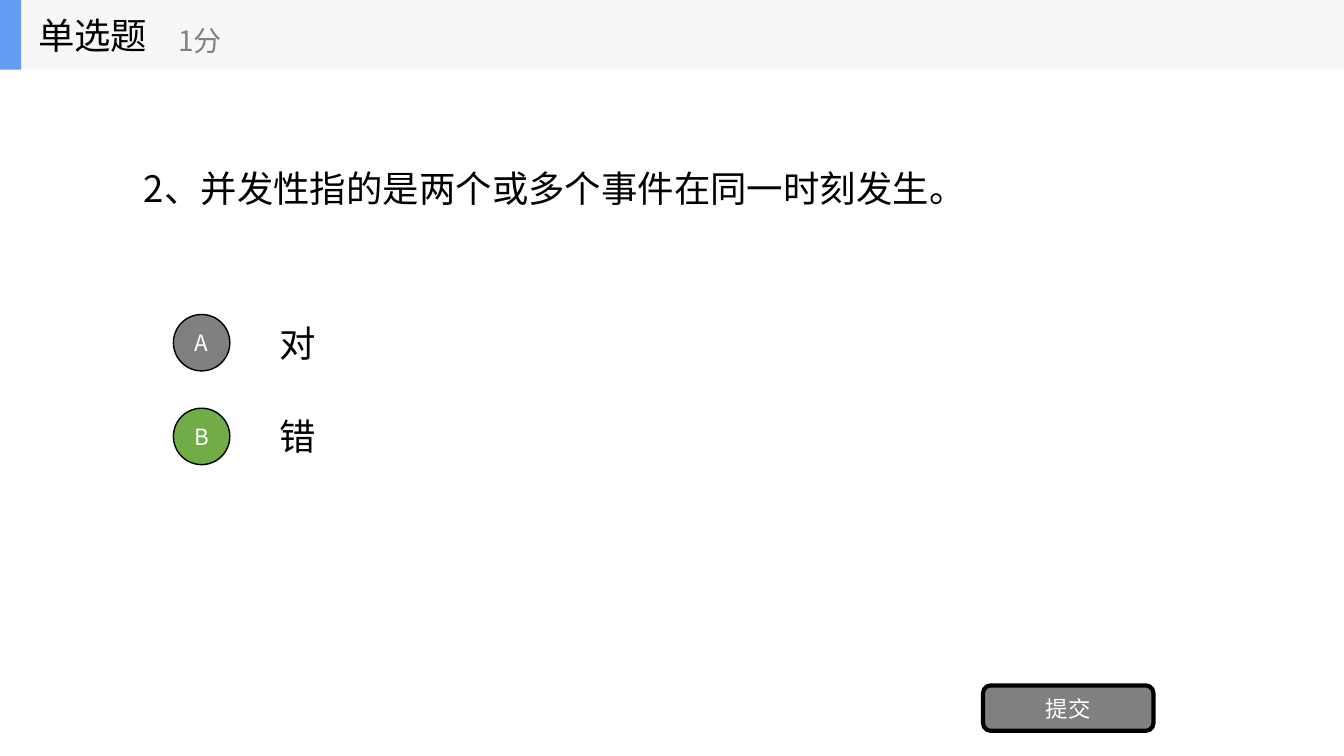
"""Build a single-choice quiz slide with two answers and a submit button."""
import pptx
import pptx.dml.color
import pptx.enum.shapes
import pptx.enum.text
import pptx.oxml.ns
import pptx.util
from lxml import etree

Inches = pptx.util.Inches
SHAPE = pptx.enum.shapes.MSO_SHAPE
ALIGN = pptx.enum.text.PP_ALIGN
FONT = "Noto Sans CJK SC"
COLORS = {
    "ink": "000000",
    "paper": "FFFFFF",
    "muted": "808080",
    "correct": "70AD47",
    "band": "F6F7F8",
    "accent": "639EF4",
}
SLIDE_WIDTH, SLIDE_HEIGHT = 13.33, 7.5
HEADER_HEIGHT = 0.69
FIRST_OPTION_TOP, OPTION_STEP = 3.05, 0.93
OPTION_HEIGHT, BADGE_SIZE = 0.7, 0.56


def rgb(color):
    return pptx.dml.color.RGBColor.from_string(COLORS[color])


def write(holder, text, size, color, align=ALIGN.LEFT):
    frame = holder.text_frame
    frame.word_wrap = True
    frame.vertical_anchor = pptx.enum.text.MSO_ANCHOR.MIDDLE
    paragraph = frame.paragraphs[0]
    paragraph.alignment = align
    run = paragraph.add_run()
    run.text = text
    font_format = {"name": FONT, "size": pptx.util.Pt(size)}
    for attribute, value in font_format.items():
        setattr(run.font, attribute, value)
    run.font.color.rgb = rgb(color)
    properties = run._r.get_or_add_rPr()
    etree.SubElement(properties, pptx.oxml.ns.qn("a:ea"), typeface=FONT)


def add_label(shapes, box, text, size=26, color="ink"):
    write(shapes.add_textbox(*map(Inches, box)), text, size, color)


def add_block(shapes, kind, box, fill, outline=0):
    block = shapes.add_shape(kind, *map(Inches, box))
    block.shadow.inherit = False
    block.fill.solid()
    block.fill.fore_color.rgb = rgb(fill)
    if outline:
        block.line.color.rgb = rgb("ink")
        block.line.width = pptx.util.Pt(outline)
    else:
        block.line.fill.background()
    return block


def add_button(shapes, kind, box, text, fill, outline):
    button = add_block(shapes, kind, box, fill, outline)
    write(button, text, 16, "paper", ALIGN.CENTER)


def add_header(shapes, question_type, score):
    header = shapes.add_group_shape().shapes
    add_block(header, SHAPE.RECTANGLE, (0, 0, SLIDE_WIDTH, HEADER_HEIGHT), "band")
    add_block(header, SHAPE.RECTANGLE, (0, 0, 0.21, HEADER_HEIGHT), "accent")
    add_label(header, (0.28, 0, 2.08, HEADER_HEIGHT), question_type)
    add_label(header, (1.67, 0.12, 2.5, 0.56), score, 20, "muted")


def add_option(shapes, index, letter, answer, fill):
    top = FIRST_OPTION_TOP + index * OPTION_STEP
    badge_top = top + (OPTION_HEIGHT - BADGE_SIZE) / 2
    add_label(shapes, (2.67, top, 9.33, OPTION_HEIGHT), answer)
    badge_box = (1.72, badge_top, BADGE_SIZE, BADGE_SIZE)
    add_button(shapes, SHAPE.OVAL, badge_box, letter, fill, 1)


def main():
    deck = pptx.Presentation()
    deck.slide_width = Inches(SLIDE_WIDTH)
    deck.slide_height = Inches(SLIDE_HEIGHT)
    shapes = deck.slides.add_slide(deck.slide_layouts[6]).shapes

    question = "2、并发性指的是两个或多个事件在同一时刻发生。"
    add_label(shapes, (1.33, HEADER_HEIGHT, 10.67, 2.34), question)
    options = [("A", "对", "muted"), ("B", "错", "correct")]
    for index, option in enumerate(options):
        add_option(shapes, index, *option)
    submit_box = (9.75, 6.8, 1.69, 0.45)
    add_button(shapes, SHAPE.ROUNDED_RECTANGLE, submit_box, "提交", "muted", 3)
    add_header(shapes, "单选题", "1分")
    deck.save("out.pptx")


if __name__ == "__main__":
    main()
